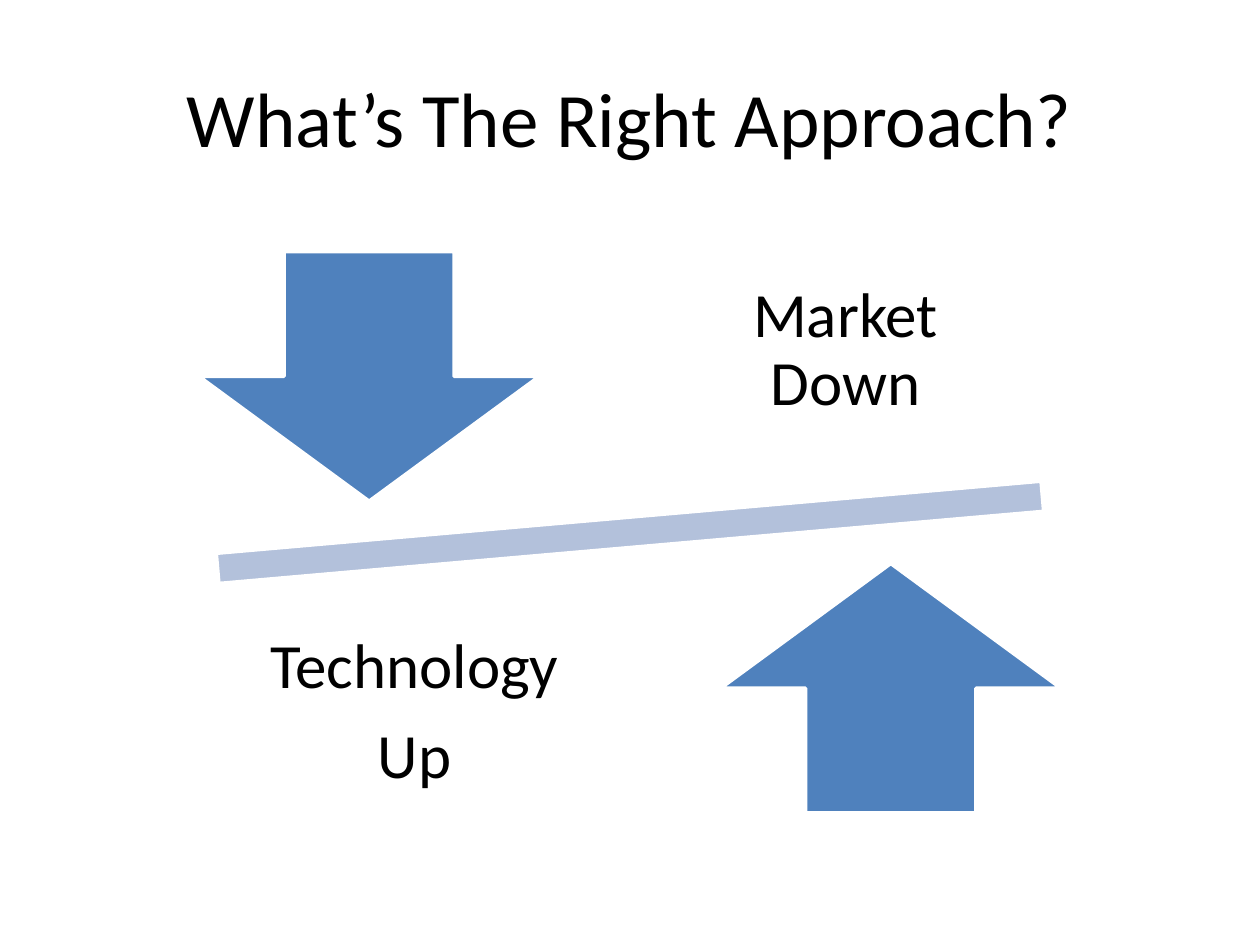
from dataclasses import dataclass

from pptx import Presentation
from pptx.dml.color import RGBColor
from pptx.enum import shapes, text
from pptx.util import Inches, Pt


@dataclass(frozen=True)
class Theme:
    font: str = "Calibri"
    ink: RGBColor = RGBColor(0, 0, 0)
    arrow: RGBColor = RGBColor(0x4F, 0x81, 0xBD)
    beam: RGBColor = RGBColor(0xB3, 0xC1, 0xDB)
    outline: RGBColor = RGBColor(0xFF, 0xFF, 0xFF)
    title_size: int = 44
    label_size: int = 36


THEME = Theme()


def add_text(parent, box, lines, size, inset=None, spacing=None, after=None):
    tf = parent.add_textbox(*map(Inches, box)).text_frame
    tf.word_wrap = True
    tf.vertical_anchor = text.MSO_ANCHOR.MIDDLE
    if inset is not None:
        tf.margin_left = tf.margin_right = Inches(inset)
        tf.margin_top = tf.margin_bottom = Inches(inset)
    for i, line in enumerate(lines):
        p = tf.add_paragraph() if i else tf.paragraphs[0]
        p.alignment = text.PP_ALIGN.CENTER
        p.line_spacing = spacing
        p.space_after = after
        r = p.add_run()
        r.text = line
        r.font.name = THEME.font
        r.font.size = Pt(size)
        r.font.color.rgb = THEME.ink


def add_figure(parent, kind, box, color, rotation=0):
    s = parent.add_shape(kind, *map(Inches, box))
    s.shadow.inherit = False
    s.rotation = rotation
    s.fill.solid()
    s.fill.fore_color.rgb = color
    s.line.color.rgb = THEME.outline
    s.line.width = Pt(2)


def add_balance(slide, left, top, width, height):
    parts = slide.shapes.add_group_shape().shapes
    kinds = shapes.MSO_SHAPE
    arrow_w, arrow_h = 0.3 * width, 0.4 * height
    label_w, label_h = 0.32 * width, 0.42 * height
    beam_w, beam_h = 8.94, 1.02
    beam = (left + (width - beam_w) / 2, top + (height - beam_h) / 2, beam_w, beam_h)
    add_figure(parts, kinds.MATH_MINUS, beam, THEME.beam, 355)

    def mirrored(x, y, w, h):
        return 2 * left + width - x - w, 2 * top + height - y - h, w, h

    down = (left + 0.12 * width, top + 0.05 * height, arrow_w, arrow_h)
    technology = (left + 0.15 * width, top + 0.58 * height, label_w, label_h)
    for kind, arrow, label, lines in (
        (kinds.DOWN_ARROW, down, mirrored(*technology), ["Market Down"]),
        (kinds.UP_ARROW, mirrored(*down), technology, ["Technology ", "Up"]),
    ):
        add_figure(parts, kind, arrow, THEME.arrow)
        add_text(parts, label, lines, THEME.label_size, 0.28, 0.9, Pt(12.6))


def main():
    prs = Presentation()
    prs.slide_width, prs.slide_height = Inches(10), Inches(7.5)
    slide = prs.slides.add_slide(prs.slide_layouts[6])
    add_text(slide.shapes, (0.5, 0.3, 9, 1.25), ["What’s The Right Approach?"], THEME.title_size)
    add_balance(slide, 0.5, 1.75, 9, 4.95)
    prs.save("out.pptx")


if __name__ == "__main__":
    main()
